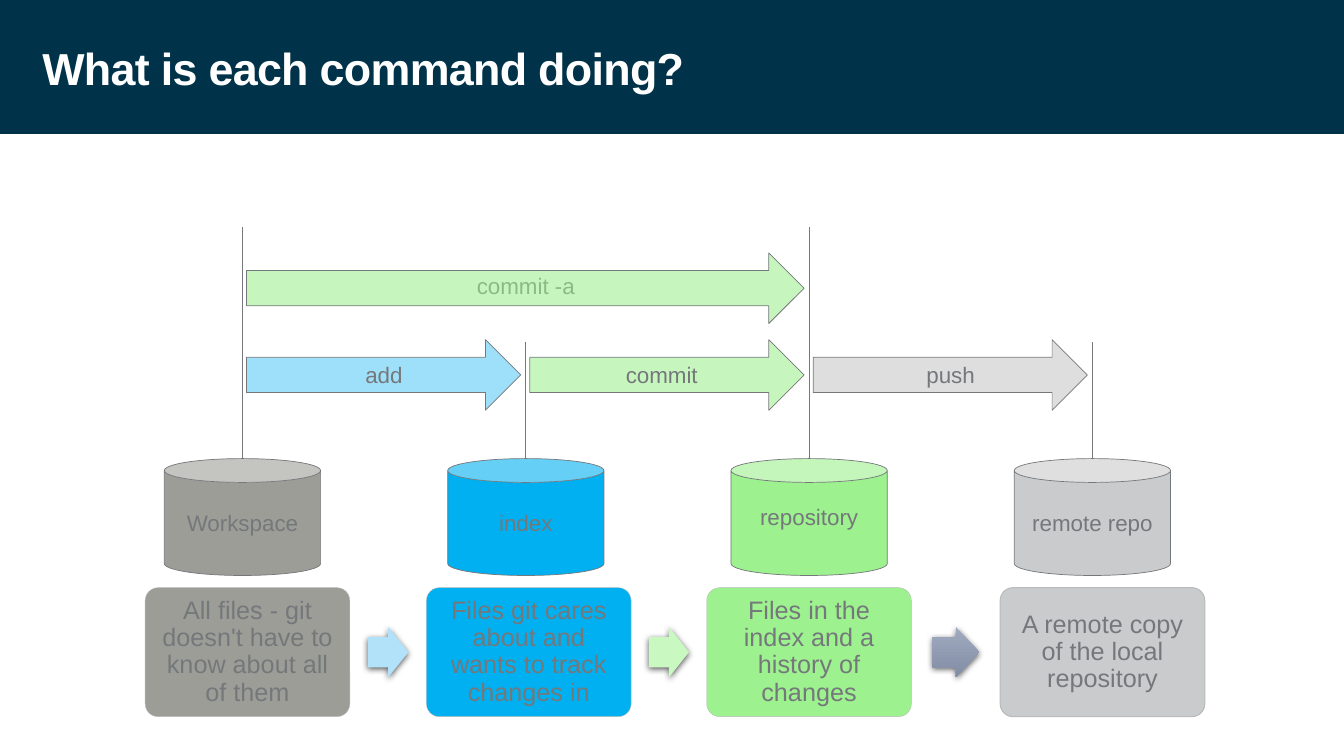
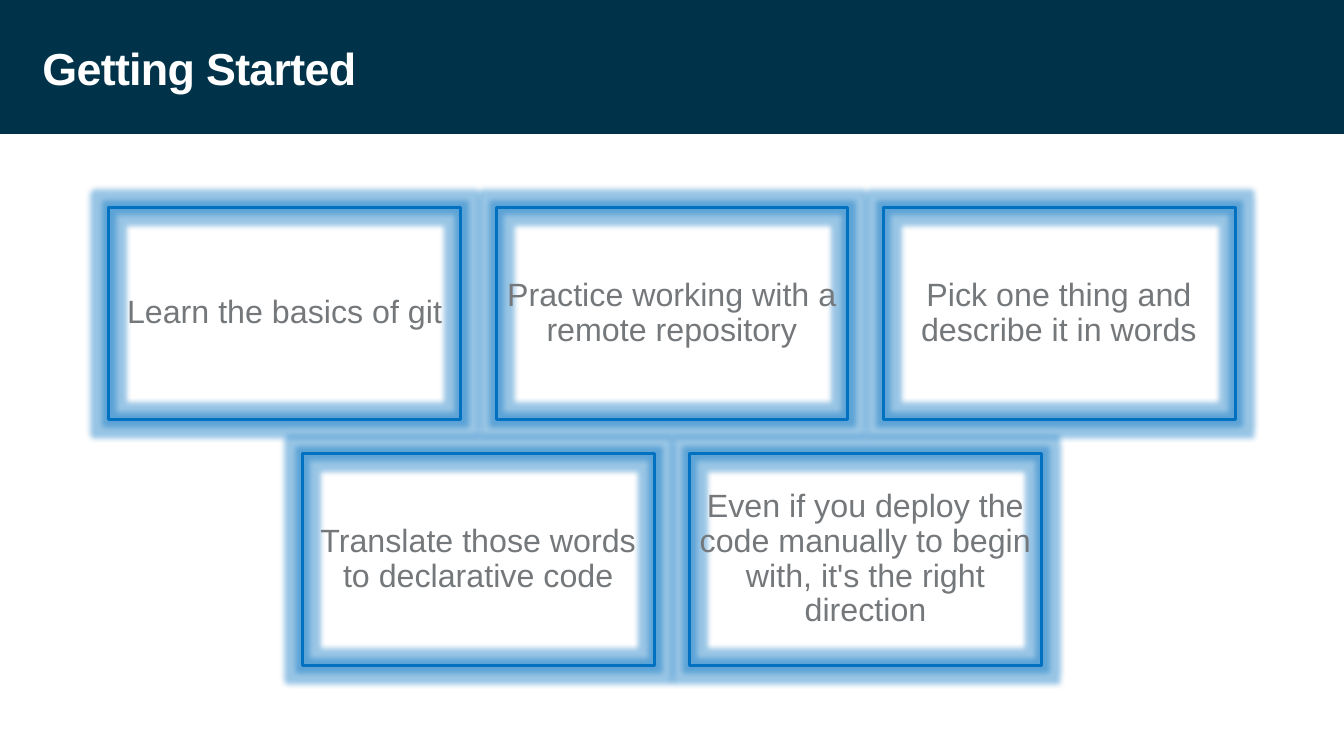
"""Build two slides on git commands and on getting started."""
from lxml.etree import SubElement
from pptx import Presentation
from pptx.dml.color import RGBColor
from pptx.enum.shapes import MSO_CONNECTOR, MSO_SHAPE
from pptx.enum.text import MSO_ANCHOR, PP_ALIGN
from pptx.oxml.ns import qn
from pptx.util import Inches, Pt

RECT, ROUND = MSO_SHAPE.RECTANGLE, MSO_SHAPE.ROUNDED_RECTANGLE
CAN, ARROW = MSO_SHAPE.CAN, MSO_SHAPE.RIGHT_ARROW
LINE = MSO_CONNECTOR.STRAIGHT
MIDDLE, CENTER = MSO_ANCHOR.MIDDLE, PP_ALIGN.CENTER

NAVY = RGBColor(0x00, 0x33, 0x49)
WHITE = RGBColor(0xFF, 0xFF, 0xFF)
GRAY = RGBColor(0x75, 0x78, 0x7B)
STONE = RGBColor(0x9D, 0x9D, 0x98)
SKY = RGBColor(0x00, 0xB0, 0xF0)
LIME = RGBColor(0x9D, 0xF1, 0x8F)
LEAF = RGBColor(0x9A, 0xF0, 0x8C)
SILVER = RGBColor(0xCA, 0xCB, 0xCC)
EDGE = RGBColor(0xB9, 0xBB, 0xBB)
BLUE = RGBColor(0x00, 0x70, 0xC0)
PALE = RGBColor(0xB1, 0xE2, 0xFA)
MINT = RGBColor(0xC9, 0xF8, 0xC0)
STEEL = RGBColor(0xA1, 0xAB, 0xBF)
SLATE = RGBColor(0x81, 0x8D, 0xA6)

WIDE, HIGH = 13.33, 7.5
FONT = "Arial"

STORES = [
    ("Workspace", STONE, 2.25, 0.05),
    ("index", SKY, 3.39, 0.05),
    ("repository", LIME, 2.25, 0.18),
    ("remote repo", SILVER, 3.39, 0.05),
]
MOVES = [
    ("add", 0, 1, SKY, 38, 0.28),
    ("commit", 1, 2, LEAF, 56, 0.17),
    ("push", 2, 3, SILVER, 62, 0.28),
]
CARDS = [
    ("All files - git doesn't have to know about all of them", 1.44, STONE, 0.25),
    ("Files git cares about and wants to track changes in", 4.23, SKY, 0.25),
    ("Files in the index and a history of changes", 7.01, LIME, 0.25),
    ("A remote copy of the local repository", 9.92, SILVER, 0.75),
]
STEPS = [(PALE,), (MINT,), (STEEL, SLATE)]
ROWS = [
    ["Learn the basics of git", "Practice working with a remote repository",
     "Pick one thing and describe it in words"],
    ["Translate those words to declarative code",
     "Even if you deploy the code manually to begin with, it's the right direction"],
]


def place(left, top, width, height):
    return [Inches(n) for n in (left, top, width, height)]


def write(shape, text, size, color=GRAY, pads=(0.1, 0.05, 0.1, 0.05), space=None):
    frame = shape.text_frame
    frame.word_wrap = True
    frame.vertical_anchor = MIDDLE
    (frame.margin_left, frame.margin_top,
     frame.margin_right, frame.margin_bottom) = [Inches(n) for n in pads]
    frame.text = text
    para = frame.paragraphs[0]
    para.alignment = CENTER
    para.line_spacing = space
    font = para.runs[0].font
    font.name, font.size, font.color.rgb = FONT, Pt(size), color


def draw(slide, kind, box, fill=None, line=None, weight=0.5):
    shape = slide.shapes.add_shape(kind, *place(*box))
    shape.shadow.inherit = False
    if fill is None:
        shape.fill.background()
    else:
        shape.fill.solid()
        shape.fill.fore_color.rgb = fill
    if line is None:
        shape.line.fill.background()
    else:
        shape.line.color.rgb = line
        shape.line.width = Pt(weight)
    return shape


def fade(shape, share):
    color = shape.element.spPr.find(qn("a:solidFill"))[0]
    SubElement(color, qn("a:alpha"), val=str(share * 1000))


def effect(shape, kind, color, share, **sizes):
    effects = shape.element.spPr.find(qn("a:effectLst"))
    node = SubElement(effects, qn(kind), **{k: str(v) for k, v in sizes.items()})
    tint = SubElement(node, qn("a:srgbClr"), val=color)
    SubElement(tint, qn("a:alpha"), val=str(share * 1000))


def style(deck, layout):
    """Put the band and the title place on the layout."""
    slide = deck.slides.add_slide(layout)
    band = draw(slide, RECT, (0, 0, WIDE, 1.33), NAVY)
    layout.shapes.element.insert(2, band.element)
    title = layout.placeholders[0]
    title.left, title.top, title.width, title.height = place(0.42, 0.25, 10.58, 0.85)
    return slide


def head(slide, text):
    title = slide.shapes.title
    write(title, text, 32, WHITE, (0, 0, 0, 0))
    para = title.text_frame.paragraphs[0]
    para.alignment = PP_ALIGN.LEFT
    run = para.runs[0]
    run.font.bold = True
    run.font._element.set("spc", "-50")


def flow(slide):
    left, pitch, width, top = 1.63, 2.81, 1.55, 4.55
    mids = [left + pitch * i + width / 2 for i in range(len(STORES))]

    def arrow(start, end, y, color, share):
        x = mids[start] + 0.04
        shape = draw(slide, ARROW, (x, y, mids[end] - x - 0.05, 0.7), color, GRAY)
        fade(shape, share)
        return shape

    for mid, (name, color, peak, low) in zip(mids, STORES):
        can = draw(slide, CAN, (mid - width / 2, top, width, 1.16), color, GRAY)
        can.adjustments[0] = 0.204
        write(can, name, 16, pads=(0.1, 0.05, 0.1, low))
        x = Inches(mid)
        line = slide.shapes.add_connector(LINE, x, Inches(top), x, Inches(peak))
        line.line.color.rgb, line.line.width = GRAY, Pt(0.5)
        SubElement(line.element.spPr, qn("a:effectLst"))
    for name, start, end, color, share, pad in MOVES:
        shape = arrow(start, end, 3.37, color, share)
        write(shape, name, 16, pads=(pad, 0.05, 0.1, 0.05))
    label = slide.shapes.add_textbox(*place(4.12, 2.65, 2.19, 0.37))
    write(label, "commit -a", 16)
    arrow(0, 2, 2.51, LEAF, 56)


def cards(slide):
    width, top, height = 2.03, 5.83, 1.28
    for text, left, color, weight in CARDS:
        card = draw(slide, ROUND, (left, top, width, height), color, EDGE, weight)
        card.adjustments[0] = 0.1
        write(card, text, 18, pads=(0.07,) * 4, space=0.9)
    for now, after, tints in zip(CARDS, CARDS[1:], STEPS):
        right = now[1] + width
        gap = after[1] - right
        size = gap * 0.53
        box = (right + (gap - size) / 2, 6.22, size, 0.5)
        step = draw(slide, ARROW, box, tints[0])
        step.adjustments[0] = 0.6
        if len(tints) > 1:
            step.fill.gradient()
            step.fill.gradient_angle = 270
            for stop, tint in zip(step.fill.gradient_stops, tints):
                stop.color.rgb = tint
        effect(step, "a:outerShdw", "000000", 63, blurRad=Pt(4.5),
               dist=Pt(1.5), dir=5400000, rotWithShape=0)


def tiles(slide):
    width, height, gap = 3.49, 2.1, 0.35
    for i, row in enumerate(ROWS):
        left = (WIDE - len(row) * (width + gap) + gap) / 2
        for j, text in enumerate(row):
            box = (left + j * (width + gap), 2.06 + i * 2.44, width, height)
            tile = draw(slide, RECT, box, None, BLUE, 2.25)
            effect(tile, "a:glow", str(BLUE), 40, rad=Pt(8))
            write(tile, text, 23, pads=(0.1,) * 4, space=0.9)


def main():
    deck = Presentation()
    deck.slide_width, deck.slide_height = Inches(WIDE), Inches(HIGH)
    layout = deck.slide_layouts[5]
    first = style(deck, layout)
    head(first, "What is each command doing?")
    flow(first)
    cards(first)
    second = deck.slides.add_slide(layout)
    head(second, "Getting Started")
    tiles(second)
    deck.save("out.pptx")


if __name__ == "__main__":
    main()
